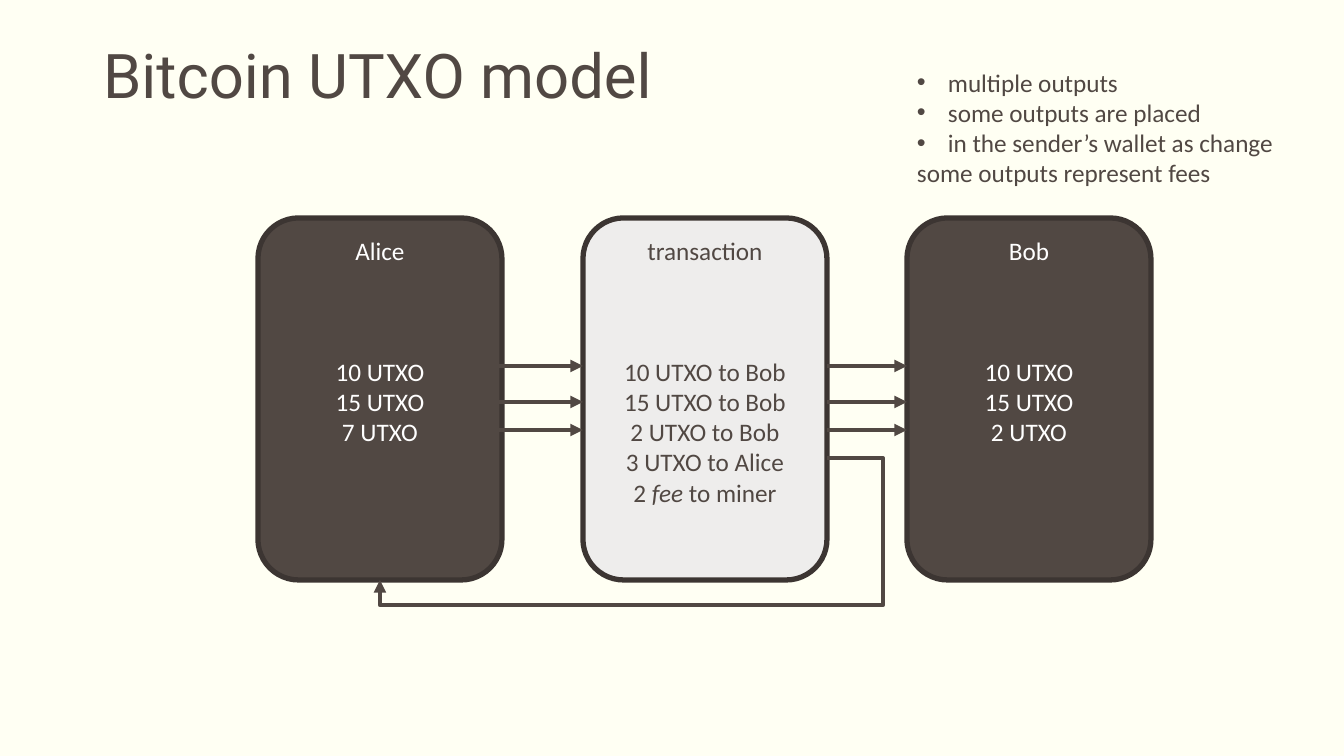
from dataclasses import dataclass

from lxml.etree import SubElement
from pptx import Presentation
from pptx.dml.color import RGBColor
from pptx.enum.shapes import MSO_CONNECTOR, MSO_SHAPE
from pptx.enum.text import MSO_ANCHOR, MSO_AUTO_SIZE, PP_ALIGN
from pptx.oxml.ns import qn
from pptx.util import Emu, Pt


@dataclass(frozen=True)
class Theme:
    """Colours, fonts and type sizes of the slide."""
    paper: RGBColor = RGBColor.from_string("FFFFF3")
    ink: RGBColor = RGBColor.from_string("514843")
    border: RGBColor = RGBColor.from_string("3C3532")
    pale: RGBColor = RGBColor.from_string("EEEDEC")
    white: RGBColor = RGBColor.from_string("FFFFFF")
    title_font: str = "Roboto"
    body_font: str = "Calibri"
    title_size: Pt = Pt(44)
    body_size: Pt = Pt(18)
    border_width: Pt = Pt(3.78)
    arrow_width: Pt = Pt(3)
    heading_gap: Pt = Pt(65)


THEME = Theme()
SLIDE_WIDTH, SLIDE_HEIGHT = 1344, 756
BOX_TOP, BOX_WIDTH, BOX_HEIGHT = 218, 244, 362
ALICE_LEFT, TRANSACTION_LEFT, BOB_LEFT = 258, 583, 907
FLOW_LEVELS = (366, 402, 430)


def px(length):
    """Turn slide pixels into EMU."""
    return Emu(round(length * 12192000 / SLIDE_WIDTH))


def style_font(font, face, size, color):
    """Set the face, size and colour of a font."""
    font.name = face
    font.size = size
    font.color.rgb = color


def add_title(slide, wording):
    """Place and format the slide title."""
    title = slide.shapes.title
    title.left, title.top, title.width, title.height = map(px, (93, 40, 1159, 146))
    frame = title.text_frame
    frame.text = wording
    frame.auto_size = MSO_AUTO_SIZE.NONE
    frame.vertical_anchor = MSO_ANCHOR.TOP
    heading = frame.paragraphs[0]
    heading.alignment = PP_ALIGN.LEFT
    heading.line_spacing = 0.9
    style_font(heading.runs[0].font, THEME.title_font, THEME.title_size, THEME.ink)


def add_party(slide, left, heading, amounts, fill, ink):
    """Add a rounded box with a heading above a list of amounts."""
    party = slide.shapes.add_shape(
        MSO_SHAPE.ROUNDED_RECTANGLE, px(left), px(BOX_TOP), px(BOX_WIDTH), px(BOX_HEIGHT))
    party.shadow.inherit = False
    party.fill.solid()
    party.fill.fore_color.rgb = fill
    party.line.color.rgb = THEME.border
    party.line.width = THEME.border_width
    frame = party.text_frame
    frame.vertical_anchor = MSO_ANCHOR.TOP
    frame.text = "\n".join([heading, *amounts])
    frame.paragraphs[1].space_before = THEME.heading_gap
    for entry in frame.paragraphs:
        entry.alignment = PP_ALIGN.CENTER
        for run in entry.runs:
            style_font(run.font, THEME.body_font, THEME.body_size, ink)
    return party


def italicize(paragraph, word):
    """Split the only run of a paragraph around a word and slant that word."""
    before, after = paragraph.text.split(word)
    paragraph.runs[0].text = before
    for wording in (word, after):
        run = paragraph.add_run()
        run.text = wording
        run.font.italic = wording == word
        style_font(run.font, THEME.body_font, THEME.body_size, THEME.ink)


def add_arrow(slide, start, end, kind=MSO_CONNECTOR.STRAIGHT):
    """Add a connector that ends in a triangle."""
    arrow = slide.shapes.add_connector(kind, *map(px, (*start, *end)))
    arrow.line.color.rgb = THEME.ink
    arrow.line.width = THEME.arrow_width
    SubElement(arrow.line._get_or_add_ln(), qn("a:tailEnd"), type="triangle")
    SubElement(arrow._element.spPr, qn("a:effectLst"))
    return arrow


def add_change_arrow(slide, start, end):
    """Add the arrow that leads the change around the boxes and back."""
    arrow = add_arrow(slide, start, end, MSO_CONNECTOR.ELBOW)
    geometry = arrow._element.spPr.find(qn("a:prstGeom"))
    geometry.set("prst", "bentConnector4")
    guides = geometry.find(qn("a:avLst"))
    for name, share in (("adj1", -12500), ("adj2", 120700)):
        SubElement(guides, qn("a:gd"), name=name, fmla=f"val {share}")


def add_notes_list(slide, bulleted, closing):
    """Add the bulleted remarks and their closing line."""
    box = slide.shapes.add_textbox(px(907), px(62), px(423), px(132))
    frame = box.text_frame
    frame.word_wrap = True
    frame.text = "\n".join([*bulleted, closing])
    for remark in frame.paragraphs[:-1]:
        properties = remark._p.get_or_add_pPr()
        properties.set("marL", str(px(31)))
        properties.set("indent", str(px(-31)))
        SubElement(properties, qn("a:buFont"), typeface="Arial")
        SubElement(properties, qn("a:buChar"), char="•")
    for remark in frame.paragraphs:
        style_font(remark.runs[0].font, THEME.body_font, THEME.body_size, THEME.ink)


def main():
    """Build the slide and save it."""
    deck = Presentation()
    deck.slide_width, deck.slide_height = px(SLIDE_WIDTH), px(SLIDE_HEIGHT)
    slide = deck.slides.add_slide(deck.slide_layouts[5])
    slide.background.fill.solid()
    slide.background.fill.fore_color.rgb = THEME.paper
    add_title(slide, "Bitcoin UTXO model")

    add_party(slide, ALICE_LEFT, "Alice", ["10 UTXO", "15 UTXO", "7 UTXO"],
              THEME.ink, THEME.white)
    transaction = add_party(
        slide, TRANSACTION_LEFT, "transaction",
        ["10 UTXO to Bob", "15 UTXO to Bob", "2 UTXO to Bob", "3 UTXO to Alice",
         "2 fee to miner"],
        THEME.pale, THEME.ink)
    italicize(transaction.text_frame.paragraphs[-1], "fee")
    add_party(slide, BOB_LEFT, "Bob", ["10 UTXO", "15 UTXO", "2 UTXO"],
              THEME.ink, THEME.white)

    transaction_right = TRANSACTION_LEFT + BOX_WIDTH
    for level in FLOW_LEVELS:
        add_arrow(slide, (440, level), (TRANSACTION_LEFT, level))
        add_arrow(slide, (transaction_right, level), (BOB_LEFT, level))
    add_change_arrow(slide, (transaction_right, 458),
                     (ALICE_LEFT + BOX_WIDTH // 2, BOX_TOP + BOX_HEIGHT))

    add_notes_list(
        slide,
        ["multiple outputs", "some outputs are placed", "in the sender’s wallet as change"],
        "some outputs represent fees")
    deck.save("out.pptx")


if __name__ == "__main__":
    main()
